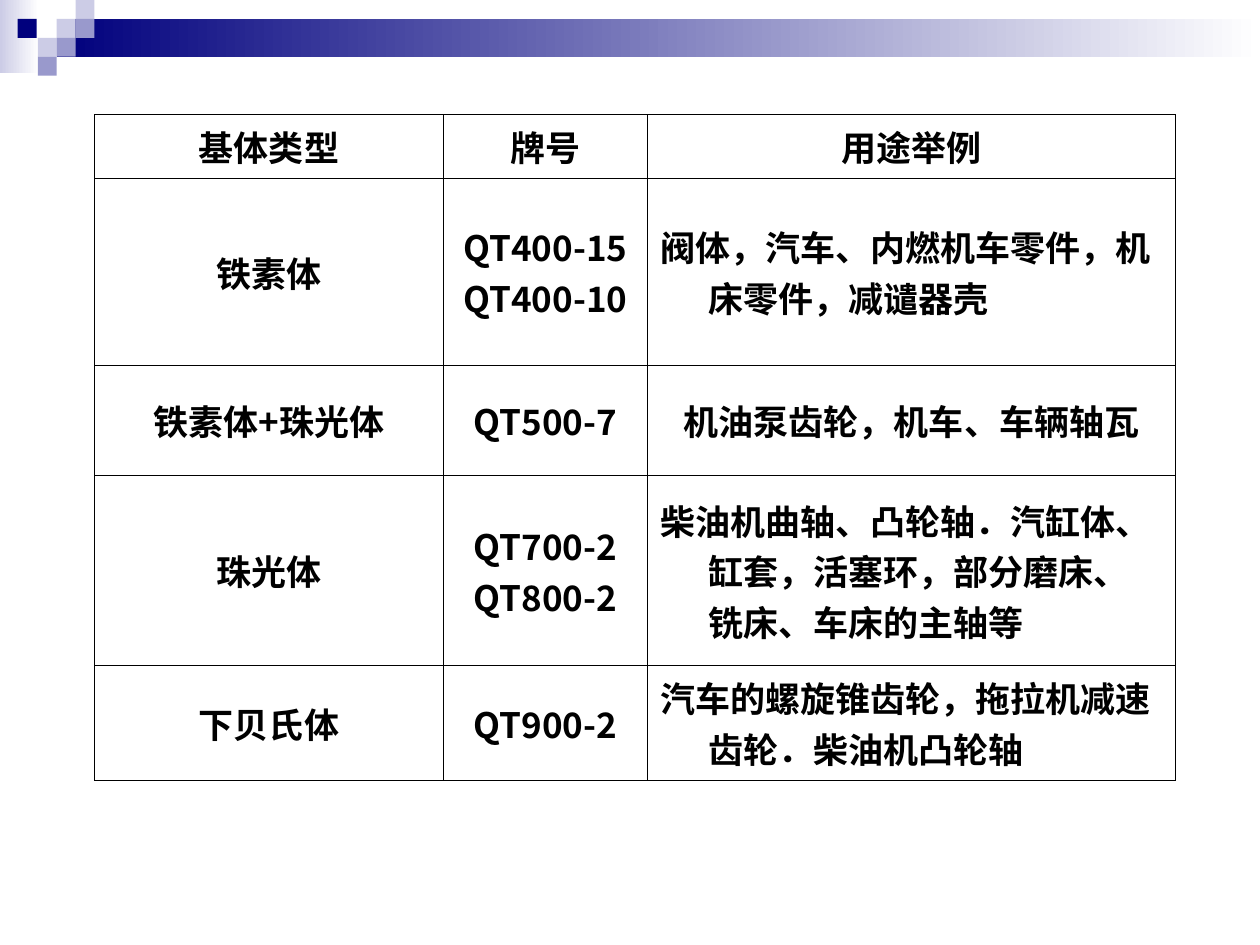
from lxml.etree import SubElement
from pptx import Presentation
from pptx.dml.color import RGBColor
from pptx.enum.shapes import MSO_SHAPE as Shape
from pptx.enum.text import MSO_ANCHOR as Anchor, PP_ALIGN as Align
from pptx.oxml.ns import qn
from pptx.util import Inches, Pt

FONT = "Noto Sans CJK SC"
NAVY, LAVENDER, LILAC, WHITE, BLACK = "00007D", "CCCCE6", "9999CC", "FFFFFF", "000000"

SQUARE = 0.15
SQUARES = [
    (0.45, 0.15, LAVENDER),
    (0.6, 0, LAVENDER),
    (0.6, 0.15, LILAC),
    (0.3, 0.3, LAVENDER),
    (0.14, 0.15, NAVY),
    (0.45, 0.3, LILAC),
    (0.3, 0.45, LILAC),
]

COLUMN_WIDTHS = [2.77, 1.62, 4.19]
ROW_HEIGHTS = [0.47, 1.49, 0.87, 1.51, 0.87]
ROWS = [
    ("基体类型", "牌号", "用途举例"),
    ("铁素体", "QT400-15\nQT400-10", "阀体，汽车、内燃机车零件，机床零件，减谴器壳"),
    ("铁素体+珠光体", "QT500-7", "机油泵齿轮，机车、车辆轴瓦"),
    ("珠光体", "QT700-2\nQT800-2",
     "柴油机曲轴、凸轮轴．汽缸体、缸套，活塞环，部分磨床、铣床、车床的主轴等"),
    ("下贝氏体", "QT900-2", "汽车的螺旋锥齿轮，拖拉机减速齿轮．柴油机凸轮轴"),
]
LEFT_ALIGNED = {(1, 2), (3, 2), (4, 2)}
TEXT_FORMAT = {"name": FONT, "size": Pt(20), "bold": True}


def color(value):
    return RGBColor.from_string(value)


def add_rectangle(slide, left, top, width, height, start, end=None):
    """Fill with one colour, or from start to end, left to right."""
    shape = slide.shapes.add_shape(
        Shape.RECTANGLE, Inches(left), Inches(top), Inches(width), Inches(height))
    shape.shadow.inherit = False
    shape.line.fill.background()
    if end is None:
        shape.fill.solid()
        shape.fill.fore_color.rgb = color(start)
    else:
        shape.fill.gradient()
        shape.fill.gradient_angle = 0
        for stop, value in zip(shape.fill.gradient_stops, (start, end)):
            stop.color.rgb = color(value)


def add_header_band(slide):
    add_rectangle(slide, 0, 0, 0.31, 0.58, LAVENDER, WHITE)
    add_rectangle(slide, 0.45, 0.15, 9.55, 0.3, NAVY, WHITE)
    for left, top, value in SQUARES:
        add_rectangle(slide, left, top, SQUARE, SQUARE, value)


def set_borders(cell):
    properties = cell._tc.get_or_add_tcPr()
    for side in ("a:lnL", "a:lnR", "a:lnT", "a:lnB"):
        line = SubElement(properties, qn(side), w=str(Pt(0.45)))
        fill = SubElement(line, qn("a:solidFill"))
        SubElement(fill, qn("a:srgbClr"), val=BLACK)


def format_paragraph(paragraph, alignment):
    paragraph.alignment = alignment
    properties = paragraph._p.get_or_add_pPr()
    properties.set("marL", str(Inches(0.38)))
    properties.set("indent", str(Inches(-0.38)))
    for run in paragraph.runs:
        for name, value in TEXT_FORMAT.items():
            setattr(run.font, name, value)
        run.font.color.rgb = color(BLACK)
        SubElement(run._r.get_or_add_rPr(), qn("a:ea"), typeface=FONT)


def fill_cell(cell, text, alignment):
    set_borders(cell)
    cell.fill.background()
    cell.vertical_anchor = Anchor.MIDDLE
    cell.text = text
    for paragraph in cell.text_frame.paragraphs:
        format_paragraph(paragraph, alignment)


def add_iron_table(slide):
    frame = slide.shapes.add_table(
        len(ROWS), len(COLUMN_WIDTHS), Inches(0.75), Inches(0.91),
        Inches(sum(COLUMN_WIDTHS)), Inches(sum(ROW_HEIGHTS)))
    table = frame.table
    table.first_row = table.horz_banding = False
    for column, width in zip(table.columns, COLUMN_WIDTHS):
        column.width = Inches(width)
    for row, height in zip(table.rows, ROW_HEIGHTS):
        row.height = Inches(height)
    for row_index, texts in enumerate(ROWS):
        for column_index, text in enumerate(texts):
            is_left = (row_index, column_index) in LEFT_ALIGNED
            fill_cell(table.cell(row_index, column_index), text,
                      Align.LEFT if is_left else Align.CENTER)


def main():
    presentation = Presentation()
    presentation.slide_width = Inches(10)
    presentation.slide_height = Inches(7.5)
    slide = presentation.slides.add_slide(presentation.slide_layouts[6])
    add_header_band(slide)
    add_iron_table(slide)
    presentation.save("out.pptx")


if __name__ == "__main__":
    main()
